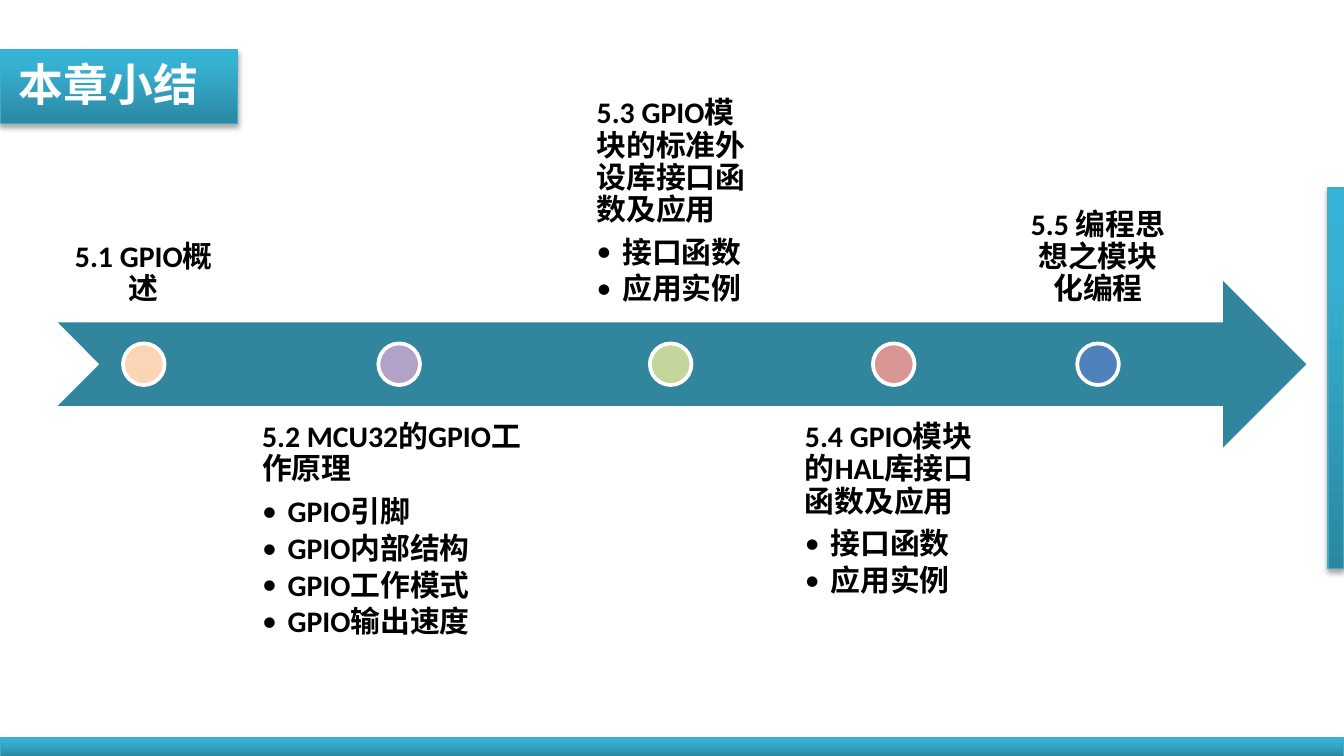
from lxml.etree import SubElement
from pptx import Presentation
from pptx.dml.color import RGBColor
from pptx.enum.shapes import MSO_SHAPE
from pptx.enum.text import MSO_ANCHOR, PP_ALIGN
from pptx.oxml.ns import qn
from pptx.util import Inches, Pt

RECT, OVAL = MSO_SHAPE.RECTANGLE, MSO_SHAPE.OVAL
ARROW = MSO_SHAPE.NOTCHED_RIGHT_ARROW
TOP, BOTTOM = MSO_ANCHOR.TOP, MSO_ANCHOR.BOTTOM
LEFT, CENTER = PP_ALIGN.LEFT, PP_ALIGN.CENTER

WIDE = 10
HIGH = WIDE * 9 / 16
STOPS = [(0, "2A88A2"), (80, "37B1D2"), (100, "34B4D6")]
SIZE = 16
GAP = 0.03
DOT = 0.31
PAD = 0.12
# width, dot colour, heading, bullets
STEPS = [
    (1.28, "FCD5B5", "5.1 GPIO概述", []),
    (2.46, "B3A2C7", "5.2 MCU32的GPIO工作原理",
     ["GPIO引脚", "GPIO内部结构", "GPIO工作模式", "GPIO输出速度"]),
    (1.52, "C3D69B", "5.3 GPIO模块的标准外设库接口函数及应用",
     ["接口函数", "应用实例"]),
    (1.74, "D99694", "5.4 GPIO模块的HAL库接口函数及应用",
     ["接口函数", "应用实例"]),
    (1.24, "4F81BD", "5.5 编程思想之模块化编程", []),
]


def color(code):
    return RGBColor.from_string(code)


def place(box):
    return [Inches(v) for v in box]


def add_shape(slide, kind, box, fill=None, line=None, width=0):
    shape = slide.shapes.add_shape(kind, *place(box))
    shape.shadow.inherit = False
    if fill:
        shape.fill.solid()
        shape.fill.fore_color.rgb = color(fill)
    if line:
        shape.line.color.rgb = color(line)
        shape.line.width = Pt(width)
    else:
        shape.line.fill.background()
    return shape


def add_band(slide, box):
    """Teal gradient bar with a soft shadow below it."""
    band = add_shape(slide, RECT, box, line="46AAC5", width=0.75)
    band.fill.gradient()
    band.fill.gradient_angle = 90
    stops = band.element.spPr.find(".//" + qn("a:gsLst"))
    for old in list(stops):
        stops.remove(old)
    for pos, code in STOPS:
        stop = SubElement(stops, qn("a:gs"), pos=str(pos * 1000))
        SubElement(stop, qn("a:srgbClr"), val=code)
    effects = band.element.spPr.find(qn("a:effectLst"))
    shadow = SubElement(effects, qn("a:outerShdw"), blurRad=str(Pt(3.1)),
                        dist=str(Pt(1.8)), dir="5400000", rotWithShape="0")
    tint = SubElement(shadow, qn("a:srgbClr"), val="000000")
    SubElement(tint, qn("a:alpha"), val="35000")


def set_font(para, name, size, code):
    font = para.font
    font.name, font.size, font.bold = name, Pt(size), True
    font.color.rgb = color(code)
    SubElement(font._element, qn("a:ea"), typeface="Noto Sans CJK SC")


def add_title(slide, box):
    left, top, width, height = box
    add_band(slide, box)
    title = slide.shapes.title
    title.left, title.top, title.width, title.height = place(
        (left + 0.04, top, 6.22, height - 0.05))
    frame = title.text_frame
    frame.text = "本章小结"
    frame.vertical_anchor = TOP
    para = frame.paragraphs[0]
    para.alignment = LEFT
    set_font(para, "Noto Sans CJK SC", 24, "FFFFFF")
    # bring the title in front of its band
    title.element.getparent().append(title.element)


def add_bullet(para):
    props = para._p.get_or_add_pPr()
    props.set("marL", str(Inches(0.19)))
    props.set("indent", str(-Inches(0.19)))
    SubElement(props, qn("a:buFont"), typeface="Calibri")
    SubElement(props, qn("a:buChar"), char="•")


def add_step(slide, box, anchor, head, items):
    frame = slide.shapes.add_textbox(*place(box)).text_frame
    frame.word_wrap = True
    frame.vertical_anchor = anchor
    frame.margin_left = Inches(PAD + 0.09 if items else PAD)
    frame.margin_right = Inches(PAD)
    frame.margin_top = frame.margin_bottom = Inches(PAD)
    for i, text in enumerate([head] + items):
        para = frame.add_paragraph() if i else frame.paragraphs[0]
        para.text = text
        para.alignment = LEFT if items else CENTER
        para.line_spacing = 0.9
        para.space_after = Pt(SIZE * (0.15 if i else 0.35))
        if i:
            para.level = 1
            add_bullet(para)
        set_font(para, "Calibri", SIZE, "000000")


def add_timeline(slide, box):
    """Arrow with dots on it; step texts alternate above and below."""
    left, top, width, height = box
    add_shape(slide, ARROW, box, "31859C")
    shift = height * 0.75
    for i, (wide, code, head, items) in enumerate(STEPS):
        above = i % 2 == 0
        y = top - shift if above else top + shift
        add_step(slide, (left, y, wide, height),
                 BOTTOM if above else TOP, head, items)
        add_shape(slide, OVAL, (left + (wide - DOT) / 2,
                                top + (height - DOT) / 2, DOT, DOT),
                  code, "FFFFFF", 2)
        left += wide + GAP


def main():
    deck = Presentation()
    deck.slide_width, deck.slide_height = Inches(WIDE), Inches(HIGH)
    slide = deck.slides.add_slide(deck.slide_layouts[5])
    add_band(slide, (0, 5.49, WIDE, 0.14))
    add_band(slide, (9.88, 1.4, 0.12, 2.83))
    add_title(slide, (0, 0.37, 1.77, 0.55))
    add_timeline(slide, (0.43, 2.09, 9.29, 1.24))
    deck.save("out.pptx")


if __name__ == "__main__":
    main()
